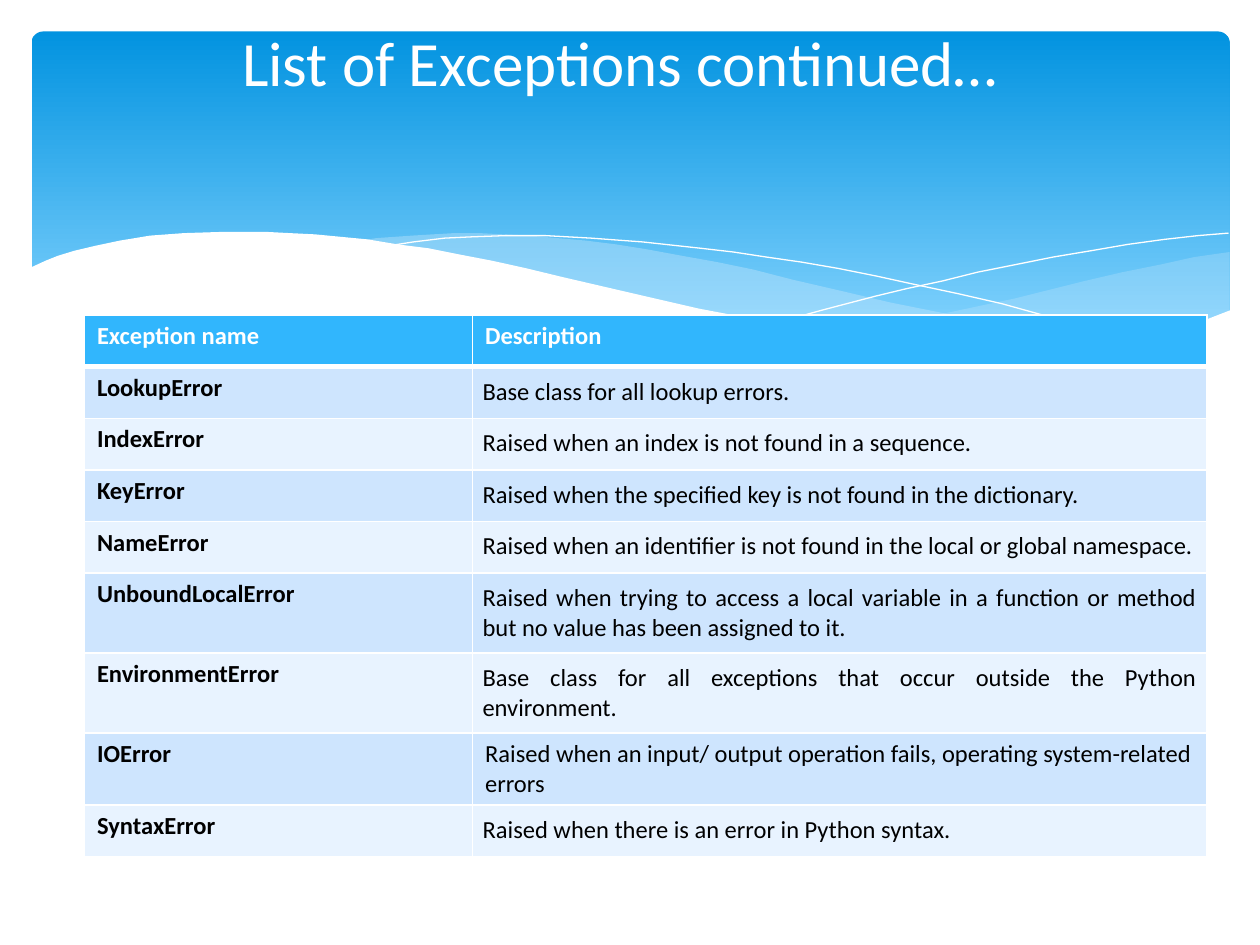
import pptx
import pptx.dml.color
import pptx.enum.shapes
import pptx.enum.text
import pptx.oxml
import pptx.oxml.ns
import pptx.util
from pptx.util import Inches

COLORS = {
    "white": "FFFFFF", "black": "000000", "deep": "0293E0", "sky": "83D3FE",
    "mist": "C6E7FC", "header": "31B6FD", "odd": "CEE5FE", "even": "E8F3FF",
}
ALIGN = pptx.enum.text.PP_ALIGN

# Wave outlines, as (x, y) points in inches
RIGHT_WAVE = [
    (9.76, 2), (9.48, 2.04), (9.21, 2.1), (8.91, 2.16), (8.61, 2.23), (8.05, 2.37),
    (7.53, 2.48), (7.06, 2.57), (6.61, 2.65), (6.91, 2.69), (7.19, 2.72), (7.45, 2.75),
    (7.69, 2.77), (8.03, 2.78), (8.35, 2.77), (8.63, 2.75), (8.89, 2.72), (9.13, 2.67),
    (9.35, 2.62), (9.63, 2.52), (9.76, 2.47),
]
MIDDLE_WAVE = [
    (8.93, 2.73), (8.66, 2.69), (8.37, 2.65), (8.07, 2.6), (7.75, 2.54), (7.41, 2.47),
    (7.06, 2.4), (6.68, 2.31), (6.29, 2.22), (5.98, 2.14), (5.69, 2.08), (5.41, 2.03),
    (5.14, 1.98), (4.89, 1.94), (4.65, 1.91), (4.42, 1.89), (4.2, 1.87), (3.99, 1.86),
    (3.8, 1.85), (3.61, 1.85), (3.28, 1.87), (2.99, 1.89), (2.86, 1.91), (3.23, 1.96),
    (3.62, 2.03), (4.04, 2.11), (4.49, 2.22), (4.91, 2.32), (5.3, 2.4), (5.66, 2.48),
    (6.01, 2.55), (6.34, 2.61), (6.65, 2.66), (6.95, 2.7), (7.22, 2.74), (7.48, 2.76),
    (7.85, 2.78), (8.28, 2.78), (8.57, 2.77), (8.76, 2.75),
]
FALLING_LINE = [
    (3.09, 1.95), (3.28, 1.92), (3.53, 1.89), (3.74, 1.88), (4.01, 1.87), (4.33, 1.87),
    (4.69, 1.89), (5.1, 1.92), (5.56, 1.97), (5.82, 2), (6.08, 2.04), (6.36, 2.08),
    (6.65, 2.13), (6.95, 2.19), (7.27, 2.26), (7.6, 2.33), (7.95, 2.41), (8.31, 2.51),
    (8.69, 2.61), (9.07, 2.72),
]
RISING_LINE = [
    (6.13, 2.57), (6.53, 2.46), (6.95, 2.35), (7.2, 2.29), (7.48, 2.23), (7.76, 2.16),
    (8.06, 2.1), (8.36, 2.04), (8.66, 1.99), (8.95, 1.94), (9.24, 1.9), (9.51, 1.87),
    (9.75, 1.85),
]
FRONT_WAVE = [
    (9.77, 2.46), (9.59, 2.53), (9.4, 2.59), (9.2, 2.65), (8.99, 2.69), (8.75, 2.73),
    (8.5, 2.75), (8.23, 2.77), (7.93, 2.76), (7.61, 2.75), (7.26, 2.72), (6.88, 2.68),
    (6.48, 2.62), (6.03, 2.54), (5.55, 2.45), (5.03, 2.33), (4.47, 2.2), (4.18, 2.13),
    (3.91, 2.07), (3.65, 2.02), (3.4, 1.97), (3.16, 1.94), (2.92, 1.9), (2.71, 1.88),
    (2.5, 1.86), (2.3, 1.85), (2.11, 1.84), (1.77, 1.84), (1.46, 1.85), (1.19, 1.87),
    (0.95, 1.91), (0.76, 1.95), (0.59, 1.99), (0.46, 2.03), (0.36, 2.07), (0.23, 2.13),
    (0.23, 3.29), (9.77, 3.29),
]

EXCEPTIONS = [
    ("Exception name", "Description"),
    ("LookupError", "Base class for all lookup errors."),
    ("IndexError", "Raised when an index is not found in a sequence."),
    ("KeyError", "Raised when the specified key is not found in the dictionary."),
    ("NameError", "Raised when an identifier is not found in the local or global namespace."),
    ("UnboundLocalError", "Raised when trying to access a local variable in a function "
                          "or method but no value has been assigned to it."),
    ("EnvironmentError", "Base class for all exceptions that occur outside the Python environment."),
    ("IOError", "Raised when an input/ output operation fails, operating system-related errors"),
    ("SyntaxError", "Raised when there is an error in Python syntax."),
]
LEFT_ALIGNED = {"Exception name", "IOError"}


def rgb(name):
    return pptx.dml.color.RGBColor.from_string(COLORS[name])


class SlideBuilder:
    font = "Calibri"

    def __init__(self, prs):
        self.s = prs.slides.add_slide(prs.slide_layouts[5])

    def add_text(self, tf, text, color, align=ALIGN.LEFT, **formats):
        p = tf.paragraphs[0]
        p.alignment = align
        r = p.add_run()
        r.text = text
        r.font.color.rgb = rgb(color)
        for name, value in {"name": self.font, **formats}.items():
            setattr(r.font, name, value)

    def title(self, text, box):
        sp = self.s.shapes.title
        for name, value in zip(("left", "top", "width", "height"), box):
            setattr(sp, name, Inches(value))
        tf = sp.text_frame
        tf.auto_size = pptx.enum.text.MSO_AUTO_SIZE.NONE
        tf.vertical_anchor = pptx.enum.text.MSO_ANCHOR.MIDDLE
        self.add_text(tf, text, "white", ALIGN.CENTER, size=pptx.util.Pt(36))
        sp.element.getparent().append(sp.element)  # bring to the front

    def banner(self, box, radius):
        sp = self.s.shapes.add_shape(
            pptx.enum.shapes.MSO_SHAPE.ROUNDED_RECTANGLE, *map(Inches, box))
        sp.adjustments[0] = radius
        sp.shadow.inherit = False
        sp.line.fill.background()
        sp.fill.gradient()
        sp.fill.gradient_angle = 270
        stops = (("deep", 0), ("sky", 0.9))
        for stop, (color, position) in zip(sp.fill.gradient_stops, stops):
            stop.color.rgb = rgb(color)
            stop.position = position

    def outline(self, points, closed):
        (x, y), *rest = [(Inches(x), Inches(y)) for x, y in points]
        builder = self.s.shapes.build_freeform(x, y)
        builder.add_line_segments(rest, close=closed)
        sp = builder.convert_to_shape()
        sp.shadow.inherit = False
        return sp

    def wave(self, points, color, opacity=100):
        sp = self.outline(points, True)
        sp.line.fill.background()
        sp.fill.solid()
        sp.fill.fore_color.rgb = rgb(color)
        if opacity < 100:
            clr = sp.element.spPr.find(".//" + pptx.oxml.ns.qn("a:srgbClr"))
            alpha = clr.makeelement(pptx.oxml.ns.qn("a:alpha"), {"val": str(opacity * 1000)})
            clr.append(alpha)

    def hairline(self, points):
        sp = self.outline(points, False)
        sp.fill.background()
        sp.line.color.rgb = rgb("white")
        sp.line.width = 0

    def borders(self, cell, header_row):
        tcPr = cell._tc.get_or_add_tcPr()
        for side in "LRTB":
            width = pptx.util.Pt(3 if header_row and side == "B" else 1)
            tcPr.append(pptx.oxml.parse_xml(
                f'<a:ln{side} {pptx.oxml.ns.nsdecls("a")} w="{width}"><a:solidFill>'
                f'<a:srgbClr val="{COLORS["white"]}"/></a:solidFill></a:ln{side}>'))

    def table(self, rows, box, col_widths, row_height):
        frame = self.s.shapes.add_table(len(rows), len(col_widths), *map(Inches, box))
        for col, width in zip(frame.table.columns, col_widths):
            col.width = Inches(width)
        for i, row in enumerate(rows):
            frame.table.rows[i].height = Inches(row_height)
            for j, text in enumerate(row):
                cell = frame.table.cell(i, j)
                self.borders(cell, i == 0)
                cell.fill.solid()
                cell.fill.fore_color.rgb = rgb("header" if i == 0 else "odd" if i % 2 else "even")
                justified = j == 1 and row[0] not in LEFT_ALIGNED
                if justified:
                    for side in ("left", "top", "right", "bottom"):
                        setattr(cell, f"margin_{side}", Inches(0.08))
                self.add_text(cell.text_frame, text, "black" if i else "white",
                              ALIGN.JUSTIFY if justified else ALIGN.LEFT,
                              size=pptx.util.Pt(14), bold=i == 0 or j == 0)


def main():
    prs = pptx.Presentation()
    prs.slide_width, prs.slide_height = Inches(10), Inches(7.5)
    slide = SlideBuilder(prs)

    # Banner with waves
    slide.banner((0.25, 0.25, 9.51, 2.7), 0.034)
    slide.wave(RIGHT_WAVE, "mist", 29)
    slide.wave(MIDDLE_WAVE, "mist", 40)
    slide.hairline(FALLING_LINE)
    slide.hairline(RISING_LINE)
    slide.wave(FRONT_WAVE, "white")

    # Exceptions and title
    slide.table(EXCEPTIONS, (0.67, 2.5, 8.91, 3.69), (3.08, 5.83), 0.41)
    slide.title("List of Exceptions continued…", (0.42, 0.05, 9, 0.87))

    prs.save("out.pptx")


if __name__ == "__main__":
    main()
